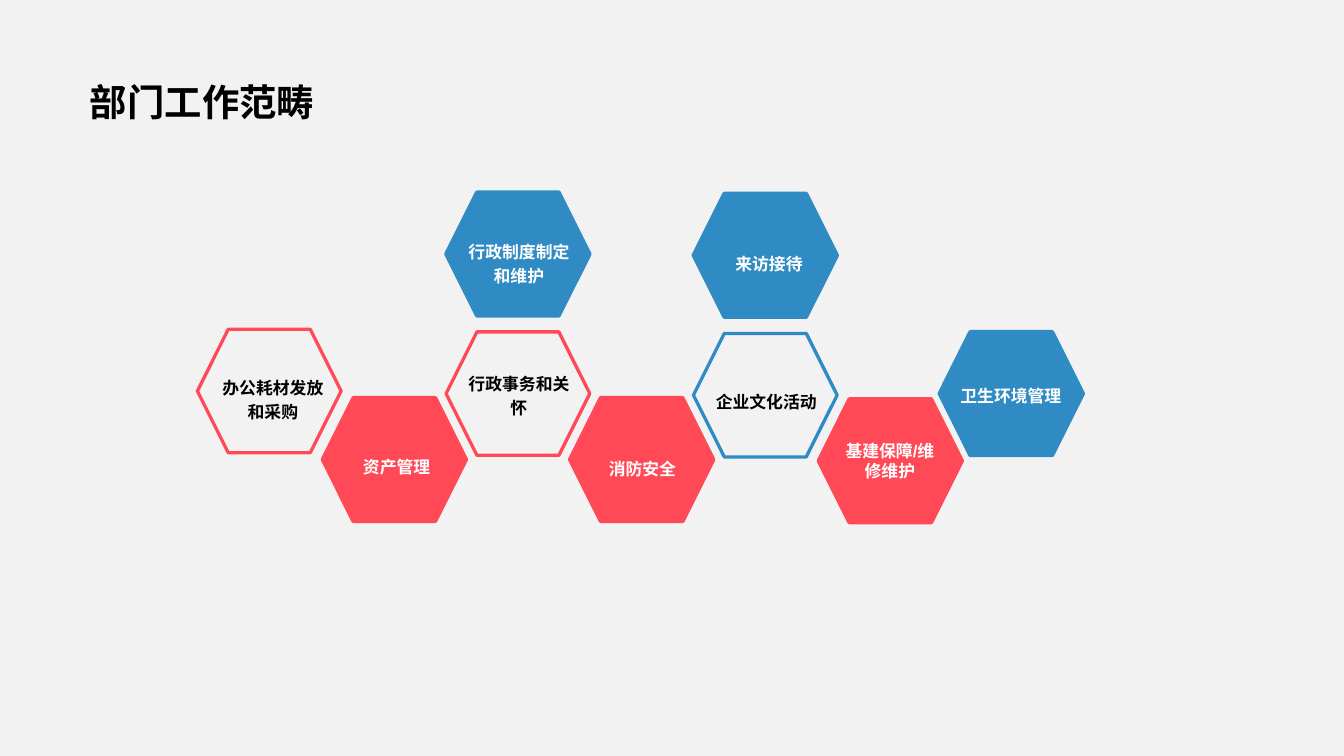
from dataclasses import dataclass

from lxml.etree import SubElement
from pptx import Presentation
from pptx.dml.color import RGBColor
from pptx.enum.shapes import MSO_SHAPE as SHAPE
from pptx.enum.text import MSO_ANCHOR as ANCHOR, PP_ALIGN as ALIGN
from pptx.oxml.ns import qn
from pptx.util import Pt

COLORS = {
    "background": "F2F2F2",
    "red": "FF4957",
    "blue": "308BC4",
    "black": "000000",
    "white": "FFFFFF",
}
HEX_WIDTH, HEX_HEIGHT = 77, 66.2
TITLE_FONT, LABEL_FONT = "Noto Sans CJK SC", "Arial"


@dataclass
class Duty:
    """A hexagon with its label; lengths are in points."""
    text: str
    color: str
    left: float
    top: float
    label_left: float
    label_top: float
    label_width: float = 59.2
    label_height: float = 13
    filled: bool = True
    line_spacing: float = 1.2


DUTIES = [
    Duty("办公耗材发放和采购", "red", 105.8, 176.4, 116.6, 200.2,
         label_height=39.6, filled=False),
    Duty("资产管理", "red", 172.8, 213.1, 182.9, 242.6),
    Duty("行政制度制定和维护", "blue", 239, 103, 248.4, 127.4,
         label_height=39.6),
    Duty("行政事务和关怀", "red", 239, 177.8, 248.4, 198,
         label_height=26, filled=False),
    Duty("消防安全", "red", 305.3, 213.1, 314.6, 243.4),
    Duty("来访接待", "blue", 371.5, 103.7, 383.8, 133.9, label_width=56.2),
    Duty("企业文化活动", "blue", 371.5, 178.6, 380.9, 207.4, filled=False),
    Duty("基建保障/维修维护", "red", 438.5, 213.8, 448.6, 236.2,
         label_width=56.2, label_height=21.6, line_spacing=1),
    Duty("卫生环境管理", "blue", 503.3, 177.8, 511.9, 204.5),
]


def rgb(name: str) -> RGBColor:
    return RGBColor.from_string(COLORS[name])


def write_text(s, text: str, font: str, size: float, color: str,
               align: ALIGN, spacing: float, anchor: ANCHOR) -> None:
    tf = s.text_frame
    tf.margin_left = tf.margin_right = tf.margin_top = tf.margin_bottom = 0
    tf.word_wrap = True
    tf.vertical_anchor = anchor
    p = tf.paragraphs[0]
    p.alignment = align
    p.line_spacing = spacing
    p.space_before = Pt(0)
    r = p.add_run()
    r.text = text
    r.font.name = font
    r.font.size = Pt(size)
    r.font.bold = True
    r.font.color.rgb = rgb(color)
    # East Asian characters take their font from a separate element
    SubElement(r.font._element, qn("a:ea"), typeface=font)


def add_hexagon(slide, duty: Duty) -> None:
    s = slide.shapes.add_shape(SHAPE.HEXAGON, Pt(duty.left), Pt(duty.top),
                               Pt(HEX_WIDTH), Pt(HEX_HEIGHT))
    s.adjustments[0] = 0.25
    s.shadow.inherit = False
    s.line.color.rgb = rgb(duty.color)
    if duty.filled:
        s.fill.solid()
        s.fill.fore_color.rgb = rgb(duty.color)
        s.line.width = Pt(2)
    else:
        s.fill.background()
        s.line.width = Pt(1.75)


def add_label(slide, duty: Duty) -> None:
    s = slide.shapes.add_textbox(Pt(duty.label_left), Pt(duty.label_top),
                                 Pt(duty.label_width), Pt(duty.label_height))
    write_text(s, duty.text, LABEL_FONT, 9,
               "white" if duty.filled else "black",
               ALIGN.CENTER, duty.line_spacing, ANCHOR.TOP)


def main() -> None:
    prs = Presentation()
    prs.slide_width, prs.slide_height = Pt(720), Pt(405)
    slide = prs.slides.add_slide(prs.slide_layouts[5])
    slide.background.fill.solid()
    slide.background.fill.fore_color.rgb = rgb("background")

    title = slide.shapes.title
    title.left, title.top = Pt(48.2), Pt(43.9)
    title.width, title.height = Pt(160), Pt(24.5)
    write_text(title, "部门工作范畴", TITLE_FONT, 20, "black",
               ALIGN.LEFT, 0.9, ANCHOR.MIDDLE)

    for duty in DUTIES:
        add_hexagon(slide, duty)
        add_label(slide, duty)
    prs.save("out.pptx")


if __name__ == "__main__":
    main()
